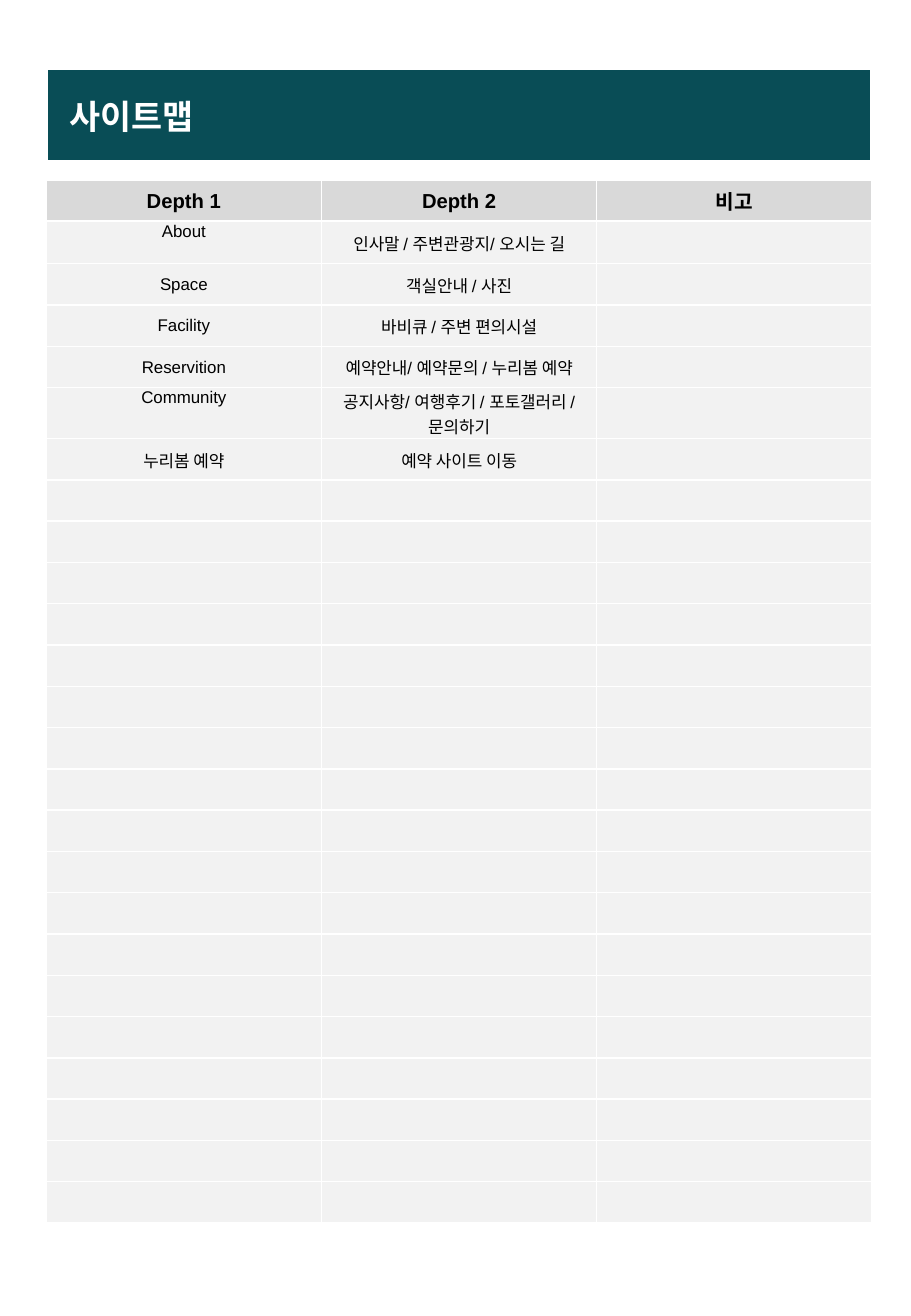
from dataclasses import dataclass

from lxml.etree import SubElement
from pptx import Presentation
from pptx.dml.color import RGBColor
from pptx.enum.text import MSO_ANCHOR, PP_ALIGN
from pptx.oxml.ns import qn
from pptx.util import Inches, Pt

TITLE = "사이트맵"
HEADINGS = ("Depth 1", "Depth 2", "비고")
PAGES = [
    ("About", "인사말 / 주변관광지/ 오시는 길"),
    ("Space", "객실안내 / 사진"),
    ("Facility", "바비큐 / 주변 편의시설"),
    ("Reservition", "예약안내/ 예약문의 / 누리봄 예약"),
    ("Community", "공지사항/ 여행후기 / 포토갤러리 / 문의하기"),
    ("누리봄 예약", "예약 사이트 이동"),
]
ROW_COUNT = 25
ROW_HEIGHT = 0.34
TALL_ROWS = {"About": 0.35, "Community": 0.42}
PAGE_WIDTH, PAGE_HEIGHT = 7.5, 10.83
BANNER_BOX = (0.39, 0.57, 6.78, 0.75)
MAP_LEFT, MAP_TOP, MAP_WIDTH = 0.38, 1.48, 6.8


@dataclass(frozen=True)
class Theme:
    banner: str = "094D56"
    heading: str = "D9D9D9"
    body: str = "F2F2F2"
    rule: str = "FFFFFF"
    ink: str = "000000"
    latin: str = "Arial"
    korean: str = "Noto Sans CJK KR"
    title_size: int = 20
    heading_size: int = 12
    body_size: int = 10


THEME = Theme()


def add_grid(slide, rows, columns, box):
    grid = slide.shapes.add_table(rows, columns, *map(Inches, box)).table
    grid.first_row = grid.horz_banding = False
    return grid


def rule_cell(cell, sides):
    properties = cell._tc.get_or_add_tcPr()
    for position, side in enumerate(sides):
        line = properties.makeelement(qn(f"a:ln{side}"), {"w": str(Pt(1))})
        fill = SubElement(line, qn("a:solidFill"))
        SubElement(fill, qn("a:srgbClr"), val=THEME.rule)
        properties.insert(position, line)


def fill_cell(cell, words, fill, ink, size, bold, align, margins, sides):
    cell.fill.solid()
    cell.fill.fore_color.rgb = RGBColor.from_string(fill)
    cell.vertical_anchor = MSO_ANCHOR.MIDDLE
    (cell.margin_left, cell.margin_right,
     cell.margin_top, cell.margin_bottom) = map(Inches, margins)
    rule_cell(cell, sides)
    paragraph = cell.text_frame.paragraphs[0]
    paragraph.alignment = align
    if not words:
        SubElement(paragraph._p, qn("a:endParaRPr"), sz=str(size * 100))
        return
    paragraph.text = words
    for run in paragraph.runs:
        run.font.name = THEME.latin
        run.font.size = Pt(size)
        run.font.bold = bold
        run.font.color.rgb = RGBColor.from_string(ink)
        SubElement(run.font._element, qn("a:ea"), typeface=THEME.korean)


def add_sitemap(slide):
    blanks = [()] * (ROW_COUNT - 1 - len(PAGES))
    lines = [HEADINGS, *PAGES, *blanks]
    heights = [TALL_ROWS.get(line[0] if line else "", ROW_HEIGHT) for line in lines]
    box = (MAP_LEFT, MAP_TOP, MAP_WIDTH, sum(heights))
    sitemap = add_grid(slide, ROW_COUNT, len(HEADINGS), box)
    for row, (line, height) in enumerate(zip(lines, heights)):
        sitemap.rows[row].height = Inches(height)
        heading = row == 0
        for column in range(len(HEADINGS)):
            words = line[column] if column < len(line) else ""
            cell = sitemap.cell(row, column)
            fill_cell(
                cell, words,
                THEME.heading if heading else THEME.body, THEME.ink,
                THEME.heading_size if heading else THEME.body_size,
                heading, PP_ALIGN.CENTER, (0.01, 0.01, 0.01, 0), "LRTB",
            )
            if words in TALL_ROWS:
                cell.vertical_anchor = MSO_ANCHOR.TOP


def add_banner(slide):
    banner = add_grid(slide, 1, 1, BANNER_BOX)
    fill_cell(
        banner.cell(0, 0), TITLE, THEME.banner, THEME.rule, THEME.title_size,
        True, PP_ALIGN.LEFT, (0.18, 0.1, 0.05, 0.05), "B",
    )


def main():
    deck = Presentation()
    deck.slide_width, deck.slide_height = Inches(PAGE_WIDTH), Inches(PAGE_HEIGHT)
    slide = deck.slides.add_slide(deck.slide_layouts[6])
    add_sitemap(slide)
    add_banner(slide)
    deck.save("out.pptx")


if __name__ == "__main__":
    main()
